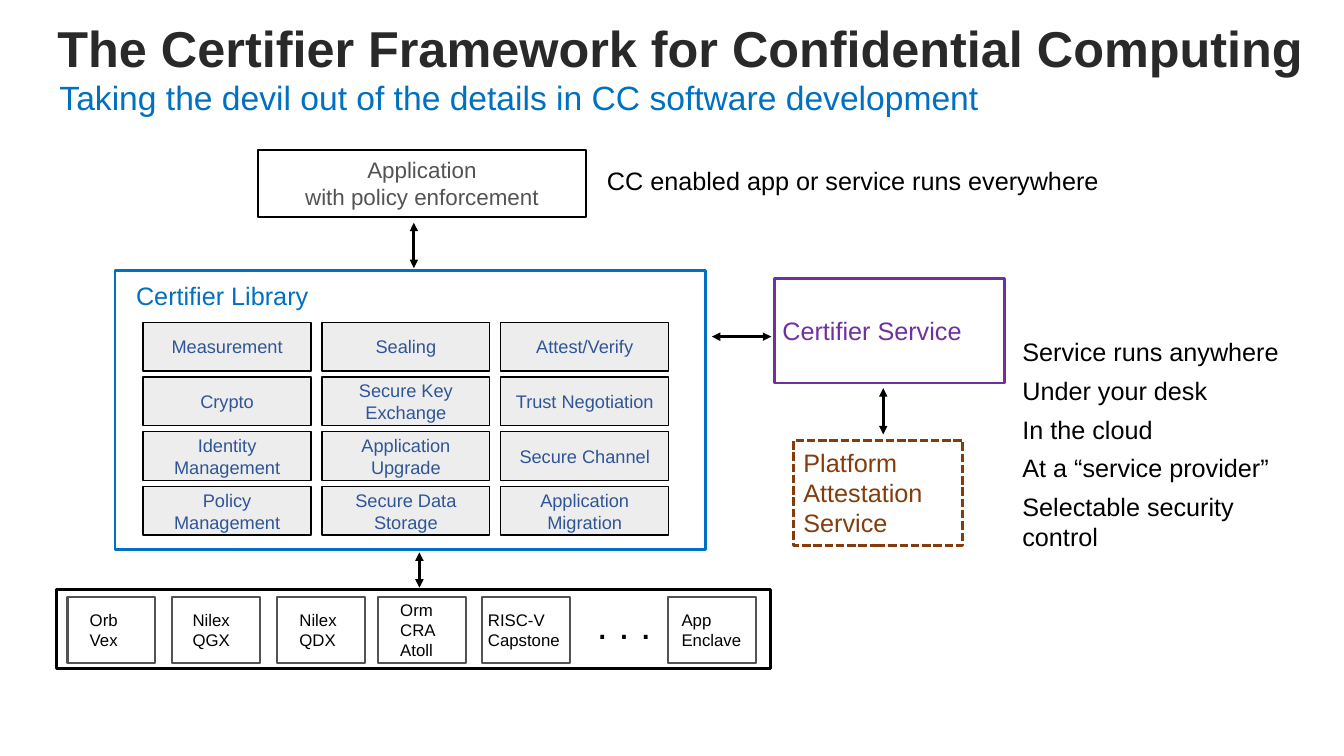
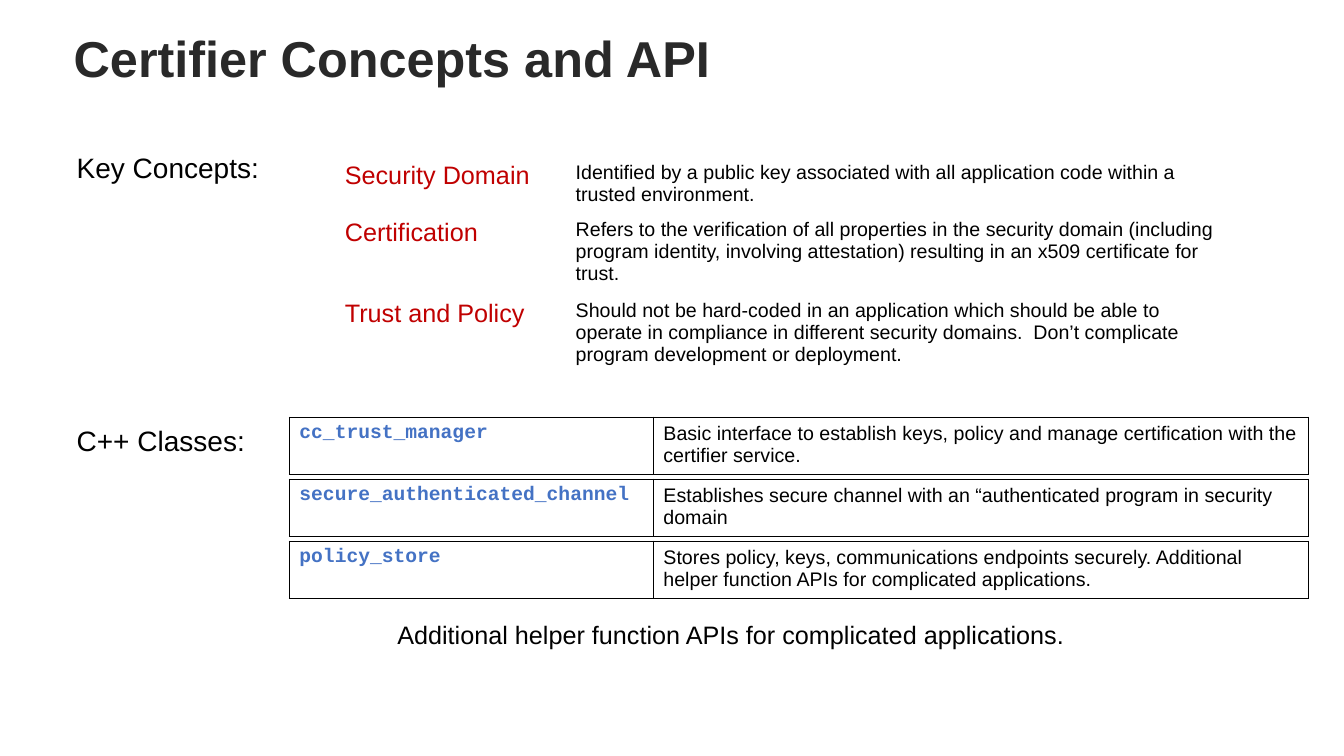
import pptx
import pptx.dml.color
import pptx.enum.dml
import pptx.enum.shapes
import pptx.enum.text
import pptx.oxml
import pptx.oxml.ns
import pptx.util
from lxml import etree

RGB = pptx.dml.color.RGBColor
BLACK = RGB(0x00, 0x00, 0x00)
INK = RGB(0x29, 0x29, 0x29)
GRAY = RGB(0x53, 0x53, 0x53)
PALE = RGB(0xED, 0xED, 0xED)
WHITE = RGB(0xFF, 0xFF, 0xFF)
BLUE = RGB(0x00, 0x70, 0xC0)
NAVY = RGB(0x2F, 0x55, 0x97)
CODE_BLUE = RGB(0x44, 0x72, 0xC4)
PURPLE = RGB(0x70, 0x30, 0xA0)
BROWN = RGB(0x84, 0x3C, 0x0B)
RED = RGB(0xC0, 0x00, 0x00)

LEFT, CENTER = pptx.enum.text.PP_ALIGN.LEFT, pptx.enum.text.PP_ALIGN.CENTER
TOP, MIDDLE = pptx.enum.text.MSO_ANCHOR.TOP, pptx.enum.text.MSO_ANCHOR.MIDDLE
DASH = pptx.enum.dml.MSO_LINE.SQUARE_DOT
RECTANGLE = pptx.enum.shapes.MSO_SHAPE.RECTANGLE
STRAIGHT = pptx.enum.shapes.MSO_CONNECTOR.STRAIGHT

deck = pptx.Presentation()
deck.slide_width = pptx.util.Inches(13.33)
deck.slide_height = pptx.util.Inches(7.5)


def grid(*cells):
    """Turn counts of cells into lengths; the slide has 80 columns and 45 rows of squares."""
    return [round(count * deck.slide_height / 45) for count in cells]


def write(holder, text, size, color, insets=(0, 0, 0, 0), anchor=TOP, font="Arial",
          bold=False, **para_format):
    """Fill a shape or table cell with text; insets are left, top, right, bottom in cells."""
    frame = holder.text_frame
    frame.text = text
    frame.word_wrap = True
    holder.vertical_anchor = frame.vertical_anchor = anchor
    for side, inset in zip(("left", "top", "right", "bottom"), grid(*insets)):
        # A table cell holds its own margins; a shape leaves them to its text frame.
        owner = holder if hasattr(holder, "margin_left") else frame
        setattr(owner, f"margin_{side}", inset)
    para_format = {"alignment": LEFT} | para_format
    for para in frame.paragraphs:
        for name, value in para_format.items():
            setattr(para, name, value)
        for span in para.runs:
            font_format = {"name": font, "size": pptx.util.Pt(size), "bold": bold}
            for name, value in font_format.items():
                setattr(span.font, name, value)
            span.font.color.rgb = color


PAD = (0.6, 0.3, 0.6, 0.3)
SIDE_PAD = (0.6, 0, 0.6, 0)
THIN_PAD = (0.3, 0.3, 0.3, 0.3)

# Pages with their titles
pages = []
for title, place in [
    ("The Certifier Framework for Confidential Computing", (3.12, 1.32, 76.8, 3.48)),
    ("Certifier Concepts and API", (4.08, 1.02, 69.24, 5.22)),
]:
    page = deck.slides.add_slide(deck.slide_layouts.get_by_name("Title Only"))
    heading = page.shapes.title
    for name, value in zip(("left", "top", "width", "height"), grid(*place)):
        setattr(heading, name, value)
    write(heading, title, 36, INK, THIN_PAD, MIDDLE, bold=True, line_spacing=0.9)
    heading.text_frame.auto_size = pptx.enum.text.MSO_AUTO_SIZE.NONE
    pages.append(page)
overview, concepts = pages

# Free-standing text: page, place, text, size, colour, space after
side_notes = "\n".join([
    "Service runs anywhere",
    "Under your desk",
    "In the cloud",
    "At a “service provider”",
    "Selectable security control",
])
for page, place, text, size, color, gap in [
    (overview, (3.54, 4.58, 72, 2.4),
     "Taking the devil out of the details in CC software development", 24, BLUE, 0),
    (overview, (36.12, 9.84, 32, 1.8), "CC enabled app or service runs everywhere", 18, BLACK, 0),
    (overview, (60.84, 20.04, 16.92, 12.9), side_notes, 18, BLACK, 6),
    (overview, (35.52, 35.76, 4, 2.8), ". . .", 28, BLACK, 0),
    (concepts, (4.56, 8.94, 13, 2), "Key Concepts:", 20, BLACK, 0),
    (concepts, (4.56, 25.2, 13, 2), "C++ Classes:", 20, BLACK, 0),
    (concepts, (23.64, 36.84, 43.68, 1.8),
     "Additional helper function APIs for complicated applications.", 18, BLACK, 0),
]:
    box = page.shapes.add_textbox(*grid(*place))
    write(box, text, size, color, space_after=pptx.util.Pt(gap))

# Boxes of the overview: place, fill, line colour, line width, dash, then text settings
boxes = [
    ((15.36, 8.94, 19.5, 3.96), WHITE, BLACK, 1.5, None,
     ("Application\nwith policy enforcement", 16, GRAY, PAD, MIDDLE), CENTER),
    ((6.84, 16.08, 35.16, 16.62), None, BLUE, 2, None,
     ("Certifier Library", 18, BLUE, (1.26, 0.6, 0, 0), TOP), LEFT),
    ((46.08, 16.56, 13.68, 6.24), None, PURPLE, 2, None,
     ("Certifier Service", 18, PURPLE, (0.48, 0, 0, 0), MIDDLE), LEFT),
    ((47.22, 26.22, 10.08, 6.24), None, BROWN, 2, DASH,
     ("Platform Attestation Service", 18, BROWN, (0.6, 0.4, 0, 0), TOP), LEFT),
    ((3.36, 35.1, 42.48, 4.68), None, BLACK, 2.25, None,
     ("", 12, BLACK), LEFT),
]

modules = [
    ["Measurement", "Sealing", "Attest/Verify"],
    ["Crypto", "Secure Key Exchange", "Trust Negotiation"],
    ["Identity Management", "Application Upgrade", "Secure Channel"],
    ["Policy Management", "Secure Data Storage", "Application Migration"],
]
for row, names in enumerate(modules):
    for column, name in enumerate(names):
        place = (8.52 + 10.64 * column, 19.18 + 3.26 * row, 9.98, 2.9)
        boxes.append((place, PALE, BLACK, 1, None, (name, 13, NAVY, SIDE_PAD, MIDDLE), CENTER))

for left, name, inset in [
    (4.02, "Orb\nVex", 1.32),
    (10.26, "Nilex\nQGX", 1.2),
    (16.5, "Nilex\nQDX", 1.32),
    (22.5, "Orm\nCRA\nAtoll", 1.32),
    (28.68, "RISC-V\nCapstone", 0.36),
    (39.78, "App\nEnclave", 0.78),
]:
    boxes.append(((left, 35.52, 5.22, 3.96), None, GRAY, 1.5, None,
                  (name, 12, BLACK, (inset, 0, 0, 0), MIDDLE), LEFT))

for place, fill, line_color, line_width, dash, content, alignment in boxes:
    box = overview.shapes.add_shape(RECTANGLE, *grid(*place))
    box.shadow.inherit = False
    if fill is None:
        box.fill.background()
    else:
        box.fill.solid()
        box.fill.fore_color.rgb = fill
    box.line.color.rgb = line_color
    box.line.width = pptx.util.Pt(line_width)
    if dash is not None:
        box.line.dash_style = dash
    write(box, *content, alignment=alignment)

# Two-headed arrows between the boxes
for ends in [
    (24.63, 13.26, 24.63, 15.96),
    (24.96, 32.88, 24.96, 34.98),
    (42.36, 20.04, 45.9, 20.04),
    (52.56, 23.1, 52.56, 25.86),
]:
    arrow = overview.shapes.add_connector(STRAIGHT, *grid(*ends))
    arrow.line.color.rgb = BLACK
    arrow.line.width = pptx.util.Pt(2)
    outline = arrow.line._get_or_add_ln()
    for tag in ("a:headEnd", "a:tailEnd"):
        etree.SubElement(outline, pptx.oxml.ns.qn(tag), type="triangle")
    etree.SubElement(arrow._element.spPr, pptx.oxml.ns.qn("a:effectLst"))

# Tables: place of the corner, column widths, bordered, first-column style, rows
ROW_HEIGHT = 2.46  # the least height; rows grow with their text
concept_style = {"size": 18, "color": RED}
class_style = {"size": 14, "color": CODE_BLUE, "font": "Courier New", "bold": True}
tables = [((19.92, 9.3), (13.74, 39.18), False, concept_style, [
    ("Security Domain",
     "Identified by a public key associated with all application code within a "
     "trusted environment."),
    ("Certification",
     "Refers to the verification of all properties in the security domain (including program "
     "identity, involving attestation) resulting in an x509 certificate for trust."),
    ("Trust and Policy",
     "Should not be hard-coded in an application which should be able to operate in compliance "
     "in different security domains.  Don’t complicate program development or deployment."),
])]
classes = [
    ("cc_trust_manager",
     "Basic interface to establish keys, policy and manage certification with the "
     "certifier service."),
    ("secure_authenticated_channel",
     "Establishes secure channel with an “authenticated program in security domain"),
    ("policy_store",
     "Stores policy, keys, communications endpoints securely. Additional helper function APIs "
     "for complicated applications."),
]
for index, entry in enumerate(classes):
    tables.append(((17.22, 24.84 + 3.69 * index), (21.66, 39), True, class_style, [entry]))

for corner, widths, bordered, term_style, entries in tables:
    place = grid(*corner, sum(widths), ROW_HEIGHT * len(entries))
    table = concepts.shapes.add_table(len(entries), len(widths), *place).table
    table.first_row = table.horz_banding = False
    for column, width in zip(table.columns, grid(*widths)):
        column.width = width
    for row, entry in zip(table.rows, entries):
        styles = (term_style, {"size": 14, "color": BLACK})
        for cell, text, style in zip(row.cells, entry, styles):
            write(cell, text, insets=PAD, **style)
            if bordered:
                properties = cell._tc.get_or_add_tcPr()
                for tag in ("a:lnL", "a:lnR", "a:lnT", "a:lnB"):
                    border = etree.SubElement(properties, pptx.oxml.ns.qn(tag),
                                              w=str(pptx.util.Pt(1)))
                    solid = etree.SubElement(border, pptx.oxml.ns.qn("a:solidFill"))
                    etree.SubElement(solid, pptx.oxml.ns.qn("a:srgbClr"), val=str(BLACK))
            cell.fill.background()

deck.save("out.pptx")
